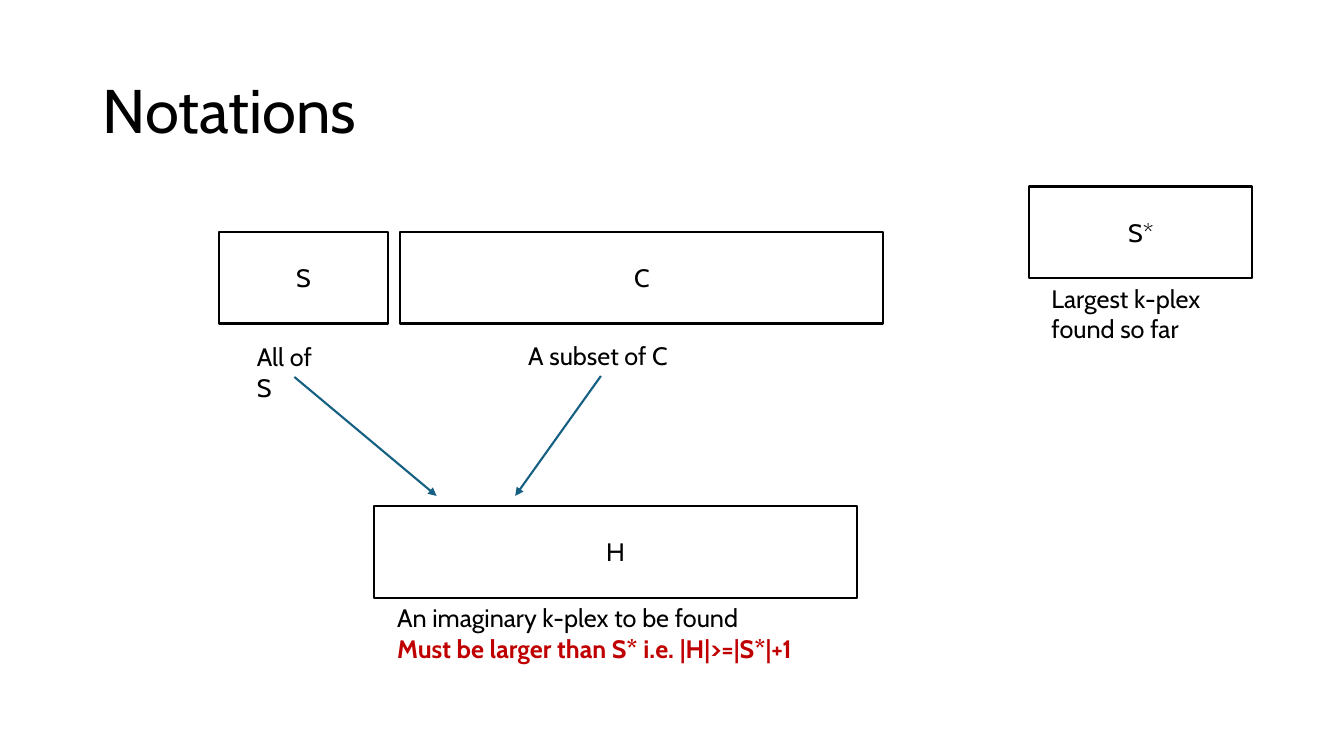
"""Builds the Notations slide: sets S, C, S* and H with captions and arrows."""
from lxml.etree import SubElement
from pptx import Presentation
from pptx.dml.color import RGBColor
from pptx.enum.shapes import MSO_CONNECTOR, MSO_SHAPE
from pptx.enum.text import MSO_ANCHOR as ANCHOR, PP_ALIGN as ALIGN
from pptx.oxml.ns import qn
from pptx.util import Inches, Pt

BLACK = RGBColor(0x00, 0x00, 0x00)
WHITE = RGBColor(0xFF, 0xFF, 0xFF)
RED = RGBColor(0xC0, 0x00, 0x00)
TEAL = RGBColor(0x15, 0x60, 0x82)


def write(p, text, **changes):
    r = p.add_run()
    r.text = text
    font = {"name": "Cabin", "size": Pt(18), "bold": False} | changes
    r.font.color.rgb = font.pop("color", BLACK)
    for key, value in font.items():
        setattr(r.font, key, value)


def add_text(left, top, width, height):
    tf = s.shapes.add_textbox(*map(Inches, (left, top, width, height))).text_frame
    tf.word_wrap = True
    return tf


prs = Presentation()
prs.slide_width, prs.slide_height = Inches(13.33), Inches(7.5)
s = prs.slides.add_slide(prs.slide_layouts[6])

title = add_text(0.92, 0.4, 11.5, 1.45)
title.vertical_anchor = ANCHOR.MIDDLE
title.paragraphs[0].line_spacing = 0.9
write(title.paragraphs[0], "Notations", size=Pt(44))

sets = [
    ("C", 3.97, 2.3, 4.79),
    ("S", 2.17, 2.3, 1.68),
    ("S*", 10.21, 1.85, 2.21),
    ("H", 3.71, 5.02, 4.79),
]
for name, left, top, width in sets:
    sp = s.shapes.add_shape(MSO_SHAPE.RECTANGLE, *map(Inches, (left, top, width, 0.91)))
    sp.shadow.inherit = False
    sp.fill.solid()
    sp.fill.fore_color.rgb = WHITE
    sp.line.color.rgb = BLACK
    sp.line.width = Pt(1.5)
    sp.text_frame.vertical_anchor = ANCHOR.MIDDLE
    p = sp.text_frame.paragraphs[0]
    p.alignment = ALIGN.CENTER
    write(p, name)

captions = [
    ("Largest k-plex found so far", 10.33, 2.76, 2.09, 0.71),
    ("A subset of C", 5.14, 3.33, 1.64, 0.4),
    ("All of S", 2.45, 3.34, 0.94, 0.4),
]
for text, *box in captions:
    write(add_text(*box).paragraphs[0], text)

goal = add_text(3.84, 5.93, 4.39, 0.71)
write(goal.paragraphs[0], "An imaginary k-plex to be found")
write(goal.add_paragraph(), "Must be larger than S* i.e. |H|>=|S*|+1", color=RED, bold=True)

for ends in [(2.92, 3.74, 4.33, 4.92), (5.96, 3.73, 5.11, 4.92)]:
    arrow = s.shapes.add_connector(MSO_CONNECTOR.STRAIGHT, *map(Inches, ends))
    arrow.line.color.rgb = TEAL
    arrow.line.width = Pt(1.5)
    SubElement(arrow.line._get_or_add_ln(), qn("a:tailEnd"), type="triangle")
    SubElement(arrow._element.spPr, qn("a:effectLst"))

prs.save("out.pptx")
